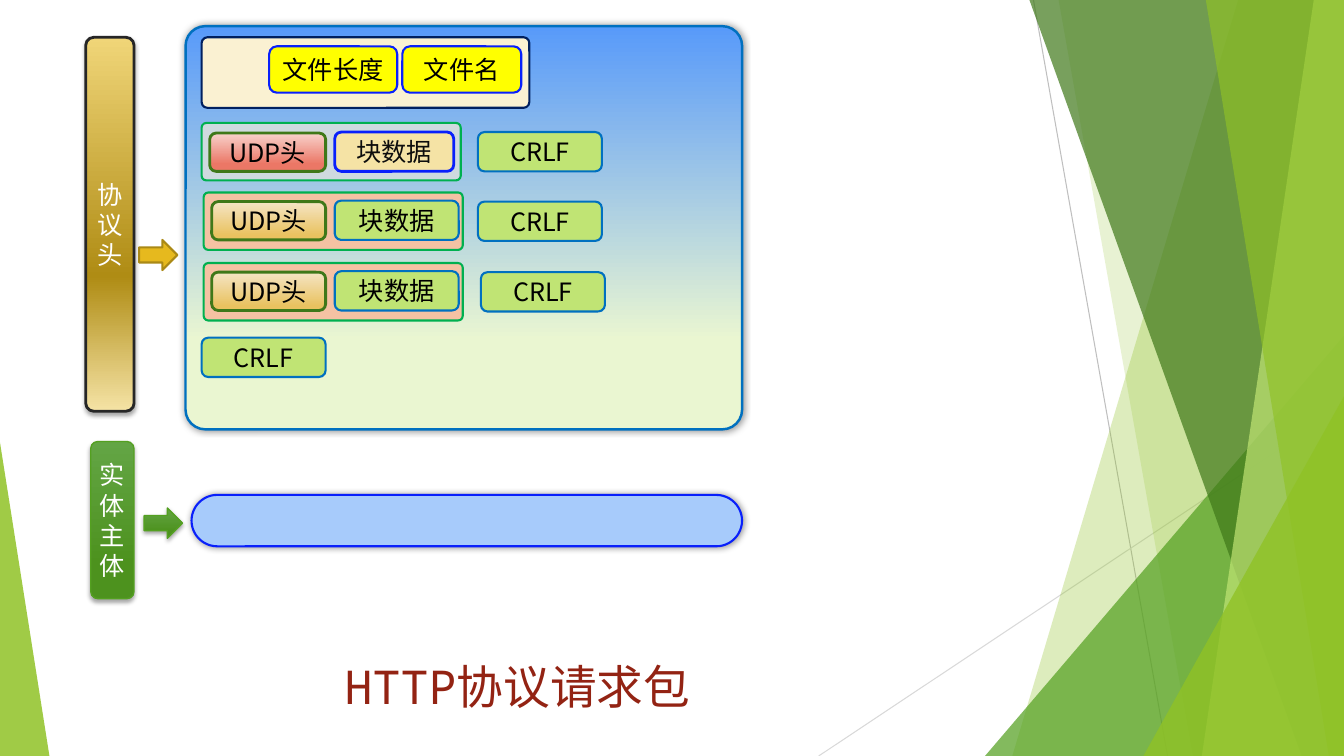
from lxml import etree
from pptx import Presentation
from pptx.dml.color import RGBColor
from pptx.enum.shapes import MSO_CONNECTOR, MSO_SHAPE as Kind
from pptx.enum.text import MSO_ANCHOR, PP_ALIGN
from pptx.oxml.ns import qn
from pptx.util import Inches, Pt

BLACK = RGBColor(0x00, 0x00, 0x00)
NEAR_BLACK = RGBColor(0x0D, 0x0D, 0x0D)
CHARCOAL = RGBColor(0x26, 0x26, 0x26)
WHITE = RGBColor(0xFF, 0xFF, 0xFF)
GRAY = RGBColor(0xBF, 0xBF, 0xBF)
LIGHT_GRAY = RGBColor(0xD9, 0xD9, 0xD9)
LIME = RGBColor(0x90, 0xC2, 0x26)
PALE_LIME = RGBColor(0xC0, 0xE4, 0x74)
LEAF = RGBColor(0x54, 0xA0, 0x21)
FOREST = RGBColor(0x3F, 0x78, 0x19)
GREEN = RGBColor(0x00, 0xB0, 0x50)
BLUE = RGBColor(0x00, 0x70, 0xC0)
BRIGHT_BLUE = RGBColor(0x09, 0x20, 0xFB)
NAVY = RGBColor(0x00, 0x20, 0x60)
SKY = RGBColor(0xA7, 0xCB, 0xFB)
YELLOW = RGBColor(0xFF, 0xFF, 0x00)
CREAM = RGBColor(0xFA, 0xF1, 0xD2)
SAND = RGBColor(0xF5, 0xE3, 0xA5)
PEACH = RGBColor(0xF5, 0xC2, 0xA3)
MIST = RGBColor(0xCF, 0xDA, 0xDF)
GOLD = RGBColor(0xE6, 0xB9, 0x1E)
DARK_GOLD = RGBColor(0xAA, 0x89, 0x16)
BRICK = RGBColor(0x93, 0x23, 0x13)

PANEL_FADE = [(0, RGBColor(0x58, 0x9A, 0xFA)), (78, RGBColor(0xEA, 0xF6, 0xD1))]
RED_FADE = [(0, RGBColor(0xF8, 0xD2, 0xCC)), (81, RGBColor(0xEB, 0x77, 0x66))]
AMBER_FADE = [(0, RGBColor(0xF5, 0xE5, 0xC5)), (88, RGBColor(0xE9, 0xC2, 0x60))]
GREEN_FADE = [(0, RGBColor(0x63, 0xA5, 0x45)), (78, RGBColor(0x4D, 0x92, 0x1E))]
GOLD_FADE = [(0, RGBColor(0xF0, 0xD5, 0x78)), (64, RGBColor(0xAF, 0x8C, 0x14)), (100, SAND)]

GLOW = (40, 5, 0, 0)
DROP = (35, 3, 2, 90)
FONT = "Noto Sans CJK SC"

deck = Presentation()
deck.slide_width, deck.slide_height = Inches(13.33), Inches(7.5)
page = deck.slides.add_slide(deck.slide_layouts[6])


def set_font(para, size, color, latin=FONT):
    para.font.name = latin
    para.font.size = Pt(size)
    para.font.color.rgb = color
    properties = para.font.fill._xPr
    east_asian = etree.Element(qn("a:ea"), typeface=FONT)
    properties.find(qn("a:latin")).addnext(east_asian)


def add_block(box, fill, line, width, text="", color=BLACK, radius=None, shadow=None,
              kind=Kind.ROUNDED_RECTANGLE):
    shape = page.shapes.add_shape(kind, *map(Inches, box))
    shape.shadow.inherit = False
    if radius is not None:
        shape.adjustments[0] = radius
    if isinstance(fill, list):
        shape.fill.gradient()
        shape.fill.gradient_angle = 270
        stops = shape.element.spPr.find(".//" + qn("a:gsLst"))
        stops.clear()
        for position, stop_color in fill:
            stop = etree.SubElement(stops, qn("a:gs"), pos=str(position * 1000))
            etree.SubElement(stop, qn("a:srgbClr"), val=str(stop_color))
    else:
        shape.fill.solid()
        shape.fill.fore_color.rgb = fill
    shape.line.color.rgb = line
    shape.line.width = Pt(width)
    if shadow:
        alpha, blur, distance, angle = shadow
        effects = shape.element.spPr.find(qn("a:effectLst"))
        outer = etree.SubElement(effects, qn("a:outerShdw"), blurRad=str(Pt(blur)),
                                 dist=str(Pt(distance)), dir=str(angle * 60000),
                                 rotWithShape="0")
        shade = etree.SubElement(outer, qn("a:srgbClr"), val=str(BLACK))
        etree.SubElement(shade, qn("a:alpha"), val=str(alpha * 1000))
    if text:
        frame = shape.text_frame
        frame.word_wrap = True
        frame.vertical_anchor = MSO_ANCHOR.MIDDLE
        frame.margin_left = frame.margin_right = frame.margin_top = frame.margin_bottom = 0
        para = frame.paragraphs[0]
        para.text = text
        para.alignment = PP_ALIGN.CENTER
        set_font(para, 18, color)
    return shape


for start, end, color in [((10.25, 0), (11.58, 7.5), GRAY), ((13.33, 4.03), (8.12, 7.5), LIGHT_GRAY)]:
    ray = page.shapes.add_connector(MSO_CONNECTOR.STRAIGHT, *map(Inches, start + end))
    ray.line.color.rgb = color
    ray.line.width = Pt(0.75)
    etree.SubElement(ray.element.spPr, qn("a:effectLst"))

facets = [
    ([(12.28, 0), (13.33, 0), (13.33, 7.5), (10.04, 7.5)], LIME, 30),
    ([(10.5, 0), (13.33, 0), (13.33, 7.5), (11.83, 7.5)], LIME, 20),
    ([(13.33, 3.33), (13.33, 7.5), (9.77, 7.5)], LEAF, 72),
    ([(10.21, 0), (13.33, 0), (13.33, 7.5), (12.91, 7.5)], FOREST, 70),
    ([(13.03, 0), (13.33, 0), (13.33, 7.5), (11.92, 7.5)], PALE_LIME, 70),
    ([(11.96, 0), (13.33, 0), (13.33, 7.5), (13.18, 7.5)], LIME, 65),
    ([(13.33, 3.93), (13.33, 7.5), (11.34, 7.5)], LIME, 80),
    ([(0, 4.39), (0.49, 7.5), (0, 7.5)], LIME, 85),
]
for corners, color, opacity in facets:
    points = [(Inches(x), Inches(y)) for x, y in corners]
    outline = page.shapes.build_freeform(*points[0])
    outline.add_line_segments(points[1:], close=True)
    facet = outline.convert_to_shape()
    facet.shadow.inherit = False
    facet.line.fill.background()
    facet.fill.solid()
    facet.fill.fore_color.rgb = color
    tint = facet.element.spPr.find(qn("a:solidFill")).find(qn("a:srgbClr"))
    etree.SubElement(tint, qn("a:alpha"), val=str(opacity * 1000))

add_block((1.84, 0.26, 5.52, 4), PANEL_FADE, BLUE, 1.75, radius=0.049, shadow=GLOW)
add_block((1.9, 4.91, 5.46, 0.51), SKY, BRIGHT_BLUE, 1.5, radius=0.5, shadow=GLOW)

add_block((2, 0.37, 3.25, 0.7), CREAM, NAVY, 1.5, radius=0.081)
add_block((2.67, 0.46, 1.27, 0.46), YELLOW, BRIGHT_BLUE, 1.5, "文件长度")
add_block((3.99, 0.46, 1.18, 0.46), YELLOW, BRIGHT_BLUE, 1.5, "文件名")

add_block((2, 1.22, 2.57, 0.57), MIST, GREEN, 1.5, radius=0.081)
add_block((2.08, 1.32, 1.15, 0.38), RED_FADE, FOREST, 2, "UDP头")
add_block((3.32, 1.31, 1.18, 0.39), SAND, BRIGHT_BLUE, 2, "块数据", NEAR_BLACK)

for top in (1.91, 2.61):
    add_block((2.02, top, 2.57, 0.57), PEACH, GREEN, 1.5, radius=0.081)
    add_block((2.1, top + 0.09, 1.13, 0.38), AMBER_FADE, FOREST, 2, "UDP头")
    add_block((3.32, top + 0.08, 1.23, 0.39), PALE_LIME, BLUE, 1.5, "块数据")

for left, top in [(4.74, 1.31), (4.74, 2), (4.77, 2.7), (2, 3.35)]:
    add_block((left, top, 1.23, 0.39), PALE_LIME, BLUE, 1.5, "CRLF")

header_bar = add_block((0.85, 0.37, 0.48, 3.71), GOLD_FADE, CHARCOAL, 2, "协议头", WHITE, shadow=DROP)
body_bar = add_block((0.9, 4.38, 0.43, 1.56), GREEN_FADE, LEAF, 1, "实体主体", WHITE, shadow=DROP)
for bar in (header_bar, body_bar):
    bar.text_frame.paragraphs[0].line_spacing = Pt(21.5)

add_block((1.38, 2.38, 0.38, 0.3), GOLD, DARK_GOLD, 1.5, kind=Kind.RIGHT_ARROW)
add_block((1.43, 5.04, 0.38, 0.3), GREEN_FADE, LEAF, 1, shadow=DROP, kind=Kind.RIGHT_ARROW)

title = page.shapes.add_textbox(*map(Inches, (3.32, 6.53, 4.67, 0.59))).text_frame
title.word_wrap = True
title.margin_top = 0
title.paragraphs[0].text = "HTTP协议请求包"
set_font(title.paragraphs[0], 33.3, BRICK, "Noto Sans Mono")

deck.save("out.pptx")
